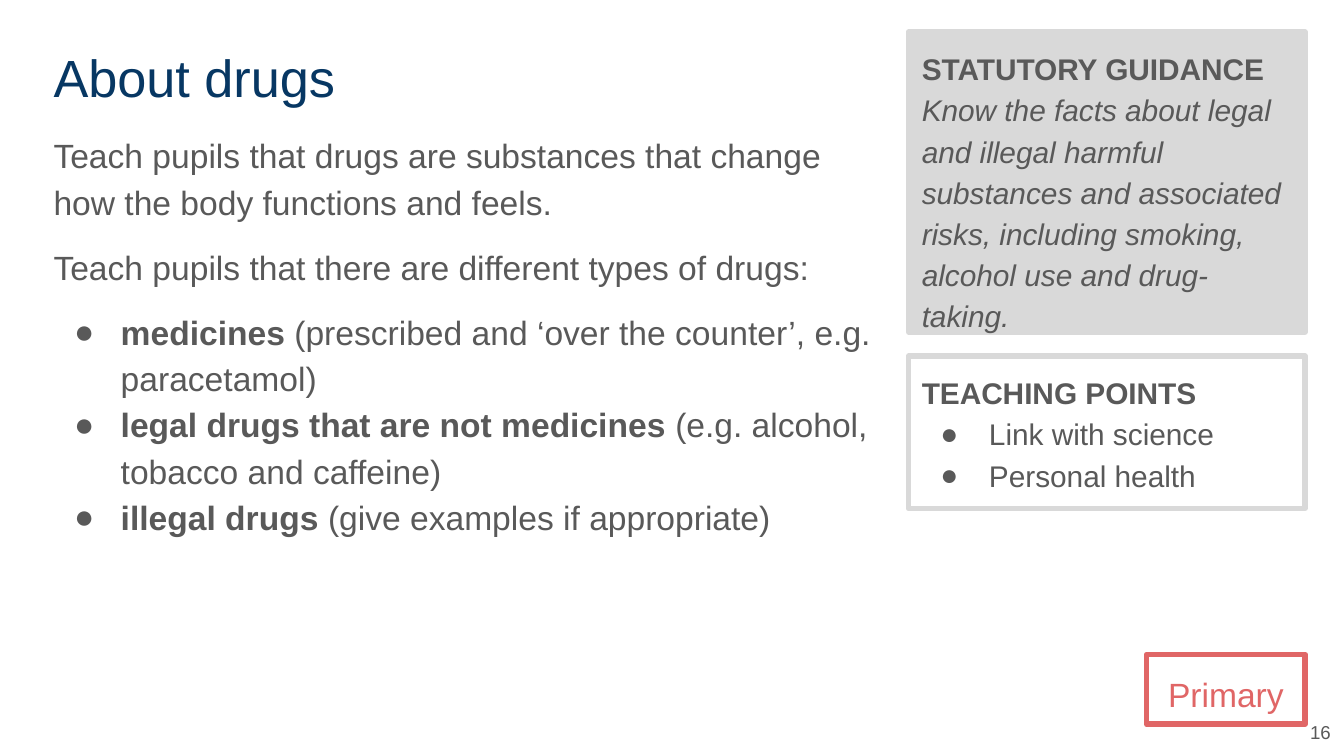
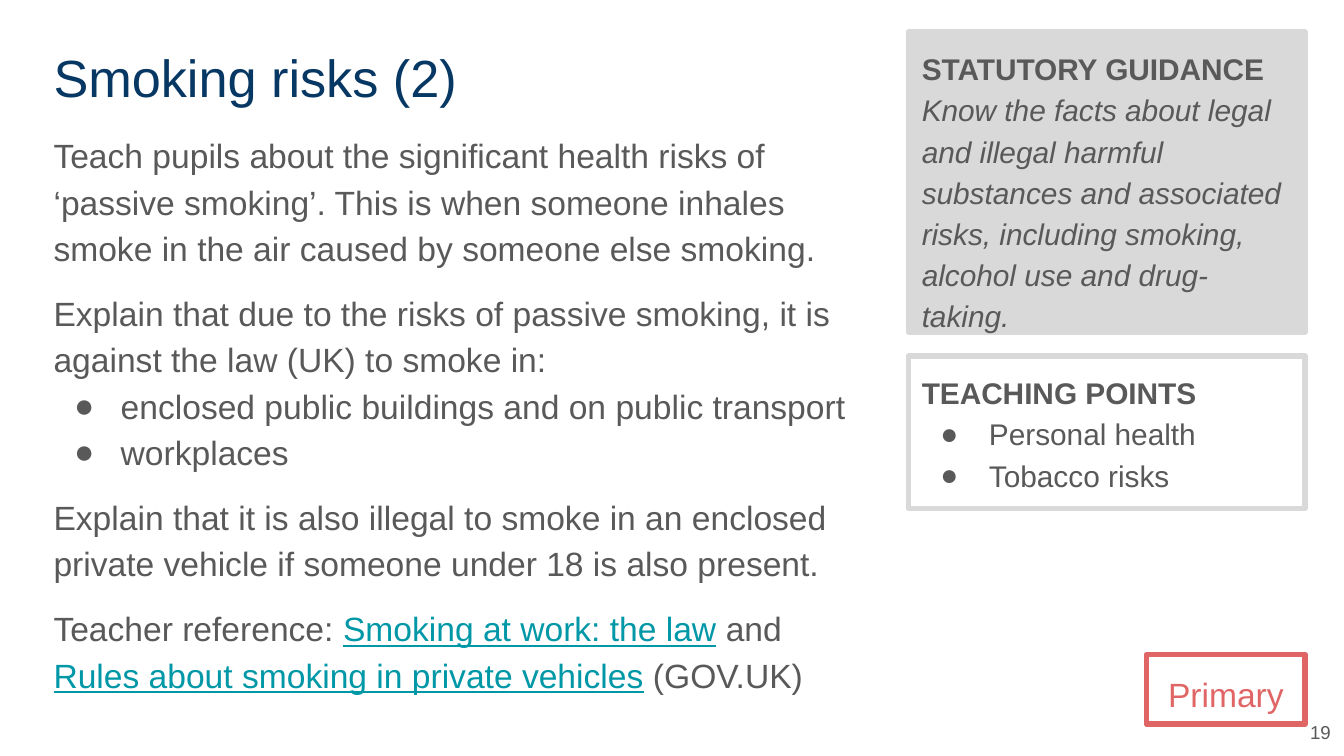
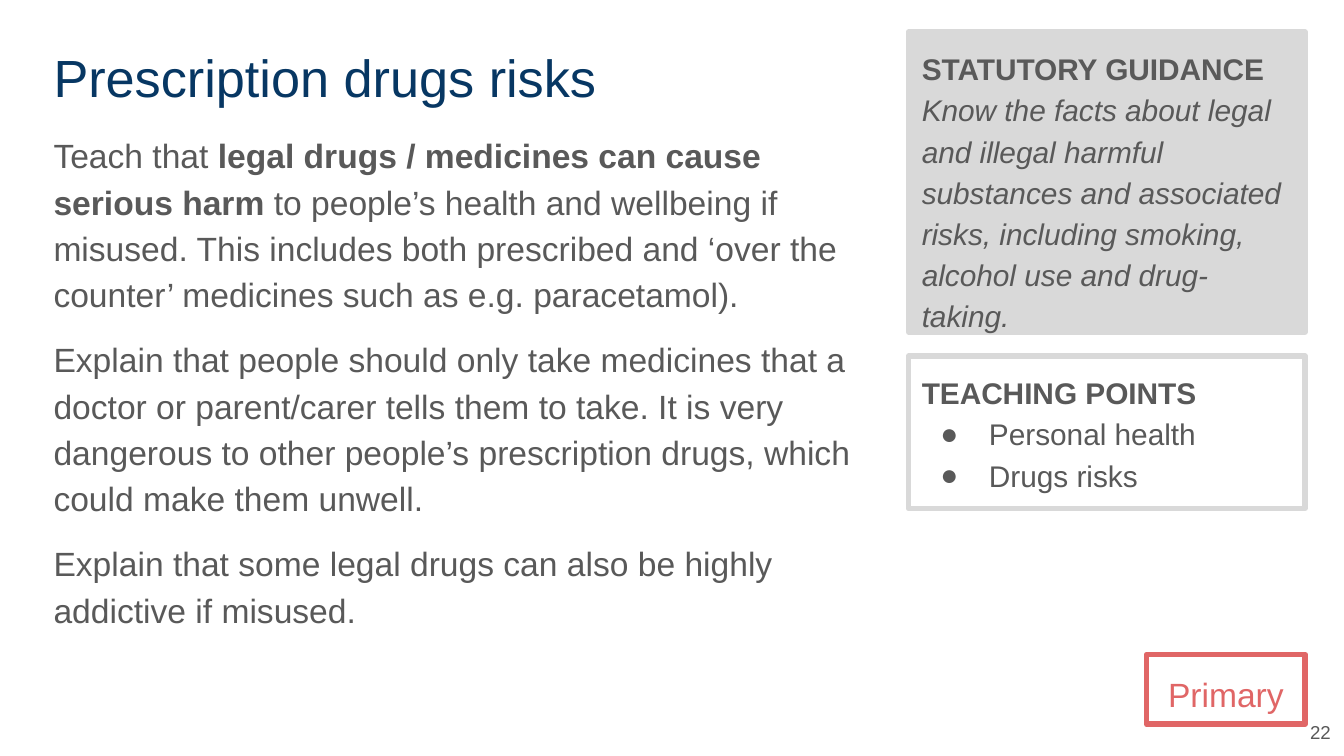
from copy import deepcopy
from dataclasses import dataclass

from lxml.etree import SubElement
from pptx import Presentation
from pptx.dml.color import RGBColor
from pptx.enum.shapes import MSO_SHAPE
from pptx.enum.text import MSO_ANCHOR, PP_ALIGN
from pptx.oxml.ns import qn
from pptx.util import Pt

COLOURS = {
    "navy": "073763",
    "text": "595959",
    "panel": "D9D9D9",
    "primary": "E06666",
    "link": "0097A7",
}
FONT = "Arial"
INSET = 7.2
TOP = 17.2
LEFT = 21.6
SIDE_LEFT = 486.7
SIDE_WIDTH = 212.4
BREAK = "\v"
GUIDANCE = (
    "Know the facts about legal and illegal harmful substances and associated "
    "risks, including smoking, alcohol use and drug-taking."
)


def colour(name):
    return RGBColor.from_string(COLOURS[name])


@dataclass
class Line:
    spans: list
    gap: int = 0
    bullet_indent: int = 0
    align: PP_ALIGN = PP_ALIGN.LEFT
    spacing: float = 1.15


def plain(text, **options):
    return Line([(text, "")], **options)


class LessonDeck:
    def __init__(self):
        self.deck = Presentation()
        self.deck.slide_width = Pt(720)
        self.deck.slide_height = Pt(405)
        self.page = None

    def add_page(self):
        self.page = self.deck.slides.add_slide(self.deck.slide_layouts[6])

    def add_text(self, area, lines, size, tone="text", anchor=MSO_ANCHOR.TOP):
        box = self.page.shapes.add_textbox(*map(Pt, area))
        self.fill_text(box.text_frame, lines, size, tone, anchor)

    def add_panel(self, area, lines, size, line, fill=None, tone="text"):
        box = self.page.shapes.add_shape(MSO_SHAPE.RECTANGLE, *map(Pt, area))
        box.shadow.inherit = False
        if fill:
            box.fill.solid()
            box.fill.fore_color.rgb = colour(fill)
        else:
            box.fill.background()
        box.line.color.rgb = colour(line)
        box.line.width = Pt(3)
        SubElement(box.line._get_or_add_ln(), qn("a:round"))
        self.fill_text(box.text_frame, lines, size, tone, MSO_ANCHOR.TOP)

    def fill_text(self, frame, lines, size, tone, anchor):
        frame.word_wrap = True
        frame.vertical_anchor = anchor
        frame.margin_left = frame.margin_right = Pt(INSET)
        frame.margin_top = frame.margin_bottom = Pt(INSET)
        for index, line in enumerate(lines):
            para = frame.add_paragraph() if index else frame.paragraphs[0]
            para.alignment = line.align
            para.line_spacing = line.spacing
            para.space_before = Pt(line.gap)
            if line.bullet_indent:
                self.add_bullet(para, line.bullet_indent)
            for text, style in line.spans:
                if text == BREAK:
                    self.add_break(para)
                else:
                    self.add_span(para, text, style, size, tone)

    def add_span(self, para, text, style, size, tone):
        span = para.add_run()
        span.text = text
        span.font.name = FONT
        span.font.size = Pt(size)
        span.font.bold = style == "bold"
        span.font.italic = style == "italic"
        span.font.underline = style == "link"
        span.font.color.rgb = colour("link" if style == "link" else tone)

    def add_break(self, para):
        properties = deepcopy(para.runs[-1]._r.rPr)
        para.add_line_break()
        para._p[-1].append(properties)

    def add_bullet(self, para, indent):
        properties = para._p.get_or_add_pPr()
        properties.set("marL", str(Pt(36)))
        properties.set("indent", str(-Pt(indent)))
        bullet_colour = SubElement(properties, qn("a:buClr"))
        SubElement(bullet_colour, qn("a:srgbClr"), val=COLOURS["text"])
        SubElement(properties, qn("a:buFont"), typeface=FONT)
        SubElement(properties, qn("a:buChar"), char="●")

    def add_lesson(self, title, body, points, number, body_width=461.5):
        self.add_page()
        self.add_text((LEFT, TOP, 461.5, 45), [plain(title, spacing=1.0)], 28, "navy")
        self.add_text((LEFT, 62, body_width, 288.7), body, 18)
        guidance = [("STATUTORY GUIDANCE", "bold"), (BREAK, ""), (GUIDANCE, "italic")]
        self.add_panel(
            (SIDE_LEFT, TOP, SIDE_WIDTH, 160.6), [Line(guidance)], 16, "panel", "panel"
        )
        teaching = [Line([("TEACHING POINTS", "bold")])]
        teaching += [plain(point, bullet_indent=26) for point in points]
        self.add_panel((SIDE_LEFT, 190.8, SIDE_WIDTH, 81.6), teaching, 16, "panel")
        self.add_panel(
            (614.2, 350.6, 85, 37.4),
            [plain("Primary", align=PP_ALIGN.CENTER)],
            18,
            "primary",
            tone="primary",
        )
        self.add_text(
            (692, 378.7, 28, 26.6),
            [plain(str(number), align=PP_ALIGN.RIGHT, spacing=1.0)],
            10,
            anchor=MSO_ANCHOR.MIDDLE,
        )


def main():
    lessons = LessonDeck()
    drug_types = [
        ("medicines", " (prescribed and ‘over the counter’, e.g. paracetamol)"),
        ("legal drugs that are not medicines", " (e.g. alcohol, tobacco and caffeine)"),
        ("illegal drugs ", "(give examples if appropriate)"),
    ]
    lessons.add_lesson(
        "About drugs",
        [
            plain(
                "Teach pupils that drugs are substances that change how the body "
                "functions and feels."
            ),
            plain("Teach pupils that there are different types of drugs:", gap=10),
        ]
        + [
            Line([(kind, "bold"), (detail, "")], 0 if index else 10, 25)
            for index, (kind, detail) in enumerate(drug_types)
        ],
        ["Link with science", "Personal health"],
        16,
    )
    lessons.add_lesson(
        "Smoking risks (2)",
        [
            plain(
                "Teach pupils about the significant health risks of ‘passive smoking’. "
                "This is when someone inhales smoke in the air caused by someone else "
                "smoking."
            ),
            plain(
                "Explain that due to the risks of passive smoking, it is against the "
                "law (UK) to smoke in:",
                gap=10,
            ),
            plain("enclosed public buildings and on public transport", bullet_indent=25),
            plain("workplaces", bullet_indent=25),
            plain(
                "Explain that it is also illegal to smoke in an enclosed private "
                "vehicle if someone under 18 is also present.",
                gap=10,
            ),
            Line(
                [
                    ("Teacher reference: ", ""),
                    ("Smoking at work: the law", "link"),
                    (" and ", ""),
                    ("Rules about smoking in private vehicles", "link"),
                    (" (GOV.UK)", ""),
                ],
                gap=10,
            ),
        ],
        ["Personal health", "Tobacco risks"],
        19,
        body_width=455,
    )
    lessons.add_lesson(
        "Prescription drugs risks",
        [
            Line(
                [
                    ("Teach that ", ""),
                    ("legal drugs / medicines can cause serious harm", "bold"),
                    (
                        " to people’s health and wellbeing if misused. This includes "
                        "both prescribed and ‘over the counter’ medicines such as e.g. "
                        "paracetamol).",
                        "",
                    ),
                ]
            ),
            plain(
                "Explain that people should only take medicines that a doctor or "
                "parent/carer tells them to take. It is very dangerous to other "
                "people’s prescription drugs, which could make them unwell.",
                gap=10,
            ),
            plain(
                "Explain that some legal drugs can also be highly addictive if misused.",
                gap=10,
            ),
        ],
        ["Personal health", "Drugs risks"],
        22,
    )
    lessons.deck.save("out.pptx")


if __name__ == "__main__":
    main()
